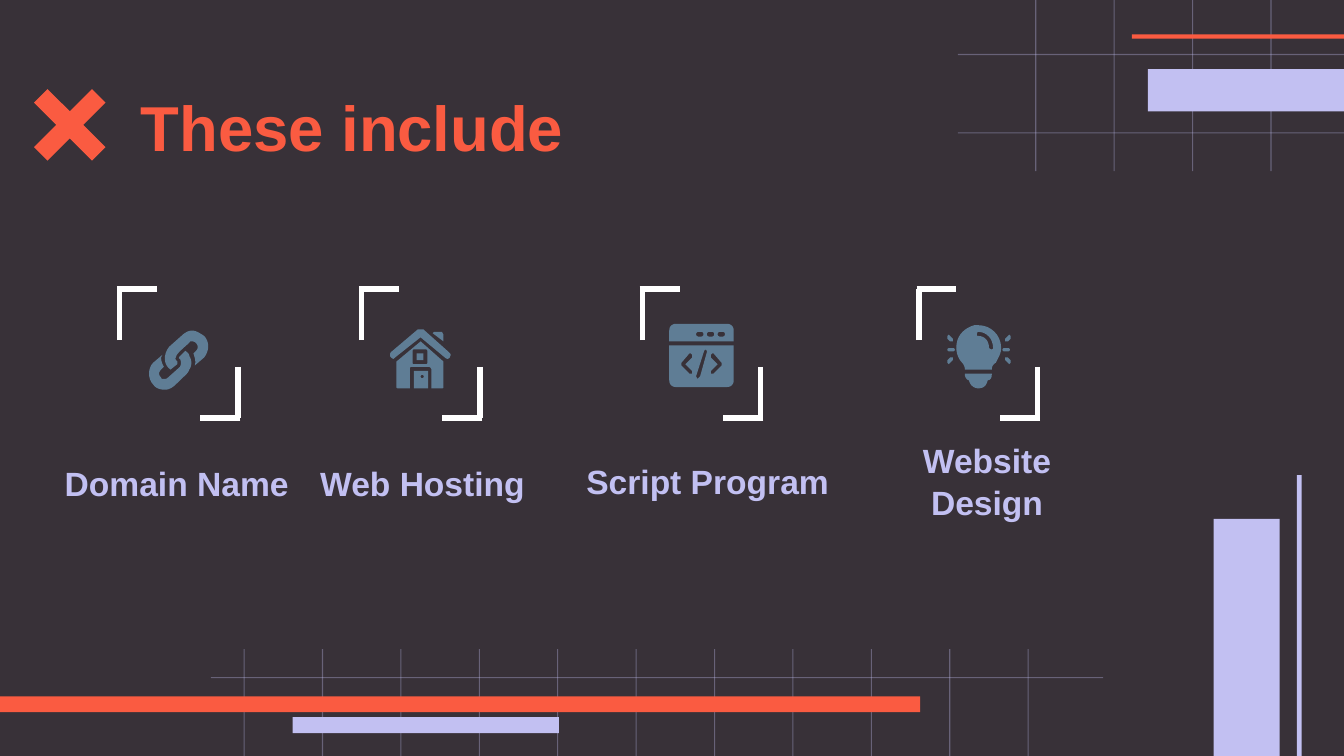
"""Build the slide listing the four parts of a website, each with a bracketed icon."""
import dataclasses
import typing

import lxml.etree
import pptx
import pptx.dml.color
import pptx.enum.shapes
import pptx.enum.text
import pptx.oxml.ns
import pptx.util

Pt = pptx.util.Pt
SHAPE = pptx.enum.shapes.MSO_SHAPE
ALIGN = pptx.enum.text.PP_ALIGN
Contour = list[tuple[float, ...]]


@dataclasses.dataclass(frozen=True)
class Theme:
    background: str = "383138"
    accent: str = "FA5B41"
    lilac: str = "C2C0F2"
    icon: str = "5F7D95"
    bracket: str = "FFFFFF"
    font: str = "Arial"
    title_size: float = 34
    label_size: float = 18
    grid_alpha: int = 35
    icon_unit: float = 0.72


@dataclasses.dataclass(frozen=True)
class Box:
    left: float
    top: float
    width: float
    height: float

    def lengths(self) -> list[pptx.util.Length]:
        return [Pt(value) for value in (self.left, self.top, self.width, self.height)]


@dataclasses.dataclass(frozen=True)
class Card:
    left: float
    label: str
    label_box: Box
    icon: list[list[Contour]]


THEME = Theme()
PAGE_WIDTH, PAGE_HEIGHT = 720, 405
CARD_TOP, BRACKET_WIDTH, BRACKET_HEIGHT = 154.8, 66.2, 69.1
GRID_STEP, GRID_LINE = 42, 0.6


def rounded(left: float, top: float, width: float, height: float, radius: float = 0) -> Contour:
    right, bottom, bend = left + width, top + height, radius * 0.45
    return [
        (left + radius, top), (right - radius, top),
        (right - bend, top, right, top + bend, right, top + radius), (right, bottom - radius),
        (right, bottom - bend, right - bend, bottom, right - radius, bottom), (left + radius, bottom),
        (left + bend, bottom, left, bottom - bend, left, bottom - radius), (left, top + radius),
        (left, top + bend, left + bend, top, left + radius, top),
    ]


def mirrored(contour: Contour, span_x: float | None = None, span_y: float | None = None) -> Contour:
    return [(x if span_x is None else span_x - x, y if span_y is None else span_y - y) for x, y in contour]


CHAIN = [
    [[(51, 46), (47, 50), (46, 51, 46, 52, 47, 52), (48, 54, 48, 56, 47, 58), (38, 66),
      (37, 67, 36, 67, 35, 67), (34, 67, 33, 67, 33, 66), (31, 64, 31, 62, 33, 60), (35, 58),
      (34, 56, 33, 54, 33, 51), (34, 49), (27, 55), (23, 59, 23, 67, 27, 71),
      (29, 74, 32, 75, 36, 75), (38, 75, 41, 74, 44, 71), (51, 64, 53, 63, 54, 60),
      (56, 57, 56, 53, 54, 50), (54, 48, 52, 47, 51, 46)]],
    [[(56, 31), (53, 31, 50, 33, 48, 35), (39, 43), (34, 49, 35, 57, 40, 60), (45, 56),
      (45, 56, 45, 55, 45, 54), (44, 53, 43, 52, 44, 51), (44, 49, 46, 47, 54, 40),
      (54, 39, 55, 39, 56, 39), (59, 39, 62, 43, 59, 46), (57, 48), (58, 51, 59, 54, 58, 57),
      (65, 51), (69, 46, 69, 39, 65, 35), (62, 33, 59, 31, 56, 31)]],
]
HOUSE = [
    [[(56, 32), (55, 33), (63, 39), (63, 34), (62, 32)]],
    [rounded(41, 61, 10.5, 13), rounded(46, 64, 2.4, 2.4, 1.2)],
    [rounded(43, 48, 5, 5)],
    [[(46, 30), (45, 30, 45, 30, 44, 30), (24, 47), (23, 48, 23, 50, 24, 51),
      (24, 51, 25, 52, 26, 52), (26, 52, 27, 51, 27, 51), (46, 36), (64, 51),
      (64, 51, 65, 52, 66, 52), (67, 52, 68, 51, 68, 50), (69, 49, 68, 48, 67, 47), (48, 30)]],
    [[(46, 39), (28, 54), (28, 73), (28, 74, 29, 74, 30, 74), (38, 74), (38, 60),
      (38, 59, 38, 58, 39, 58), (52, 58), (53, 58, 54, 59, 54, 60), (54, 74), (62, 74),
      (62, 74, 63, 74, 63, 73), (63, 54)], rounded(40, 45, 11, 11, 1)],
]
CHEVRON = [(38, 48), (39, 49), (39, 51), (34, 56), (39, 61), (39, 63), (37, 63), (31, 57), (31, 55), (37, 48)]
CODE_WINDOW = [
    [[(27, 26), (24, 26, 22, 28, 22, 31), (22, 39), (70, 39), (70, 31), (70, 28, 68, 26, 65, 26)],
     *[rounded(42 + 8 * dot, 32, 5.5, 3.5, 1.7) for dot in range(3)]],
    [[(22, 42), (22, 68), (22, 71, 24, 73, 27, 73), (65, 73), (68, 73, 70, 71, 70, 68), (70, 42)],
     CHEVRON, mirrored(CHEVRON, span_x=92),
     [(49, 45), (50, 46), (50, 47), (45, 65), (43, 67), (42, 65), (48, 46)]],
]
RAY = [(24, 34), (23, 35), (23, 37), (25, 39), (27, 39), (27, 37), (25, 35)]
BULB = [
    [[(36, 63), (36, 64), (36, 66, 38, 68, 39, 68), (40, 72, 43, 74, 46, 74),
      (50, 74, 52, 72, 53, 68), (55, 68, 56, 66, 56, 64), (56, 63)]],
    [[(46, 27), (45, 27, 44, 27, 43, 27), (36, 29, 31, 34, 30, 40), (29, 45, 30, 51, 34, 55),
      (35, 56, 36, 58, 36, 60), (56, 60), (56, 58, 57, 56, 59, 55), (61, 51, 63, 48, 63, 44),
      (63, 34, 55, 27, 46, 27)],
     [(46, 32), (52, 32, 57, 37, 57, 44), (57, 44, 57, 45, 56, 45), (55, 45, 54, 44, 54, 44),
      (54, 39, 51, 35, 46, 35), (45, 35, 45, 35, 45, 34), (45, 33, 45, 32, 46, 32)]],
    *[[rounded(left, 44, 5.5, 2.4, 1.2)] for left in (23, 64)],
    *[[mirrored(RAY, span_x, span_y)] for span_x in (None, 93) for span_y in (None, 90)],
]
CARDS = [
    Card(62.6, "Domain Name", Box(21.6, 247, 146.2, 22.3), CHAIN),
    Card(192.2, "Web Hosting", Box(152.6, 247, 147.6, 22.3), HOUSE),
    Card(342.7, "Script Program", Box(305.3, 246.2, 147.6, 22.3), CODE_WINDOW),
    Card(491, "Website Design", Box(455, 246.2, 147.6, 22.3), BULB),
]
BARS = [
    (Box(0, 373, 493, 8.6), THEME.accent),
    (Box(650.2, 278, 35.3, 127), THEME.lilac),
    (Box(694.8, 254.6, 2.6, 150.4), THEME.lilac),
    (Box(156.8, 384.2, 142.7, 8.6), THEME.lilac),
    (Box(615, 37, 105, 22.7), THEME.lilac),
    (Box(606.3, 18.4, 113.7, 2.3), THEME.accent),
]
GRID_LINES = [
    *[Box(554.6 + GRID_STEP * column, 0, GRID_LINE, 91.7) for column in range(4)],
    *[Box(513.2, 28.9 + GRID_STEP * row, 206.8, GRID_LINE) for row in range(2)],
    *[Box(130.5 + GRID_STEP * column, 347.7, GRID_LINE, 57.3) for column in range(11)],
    Box(113, 362.7, 478, GRID_LINE),
]


def paint(shape: typing.Any, color: str, alpha: int = 100) -> None:
    shape.shadow.inherit = False
    shape.fill.solid()
    shape.fill.fore_color.rgb = pptx.dml.color.RGBColor.from_string(color)
    shape.line.fill.background()
    if alpha < 100:
        color_node = shape.fill._xPr.find(".//" + pptx.oxml.ns.qn("a:srgbClr"))
        lxml.etree.SubElement(color_node, pptx.oxml.ns.qn("a:alpha"), val=str(alpha * 1000))


def add_block(page: typing.Any, box: Box, color: str, alpha: int = 100, kind: typing.Any = SHAPE.RECTANGLE) -> typing.Any:
    shape = page.shapes.add_shape(kind, *box.lengths())
    paint(shape, color, alpha)
    return shape


def add_text(page: typing.Any, text: str, box: Box, *, size: float, color: str, align: typing.Any = ALIGN.LEFT, spacing: float = 1) -> None:
    frame = page.shapes.add_textbox(*box.lengths()).text_frame
    frame.word_wrap = True
    frame.vertical_anchor = pptx.enum.text.MSO_ANCHOR.MIDDLE
    frame.margin_left = frame.margin_right = frame.margin_top = frame.margin_bottom = Pt(7.2)
    para = frame.paragraphs[0]
    para.alignment, para.line_spacing = align, spacing
    span = para.add_run()
    span.text = text
    span.font.name, span.font.size, span.font.bold = THEME.font, Pt(size), True
    span.font.color.rgb = pptx.dml.color.RGBColor.from_string(color)


def flatten(contour: Contour, left: float, top: float, steps: int = 8) -> list[tuple[int, int]]:
    points = [contour[0]]
    for segment in contour[1:]:
        if len(segment) == 2:
            points.append(segment)
            continue
        knots = [points[-1], segment[:2], segment[2:4], segment[4:]]
        for step in range(1, steps + 1):
            t = step / steps
            weights = ((1 - t) ** 3, 3 * t * (1 - t) ** 2, 3 * t * t * (1 - t), t ** 3)
            points.append(tuple(sum(w * knot[axis] for w, knot in zip(weights, knots)) for axis in (0, 1)))
    return [(Pt(left + x * THEME.icon_unit), Pt(top + y * THEME.icon_unit)) for x, y in points]


def add_outline(page: typing.Any, contours: list[Contour], left: float, top: float) -> None:
    first, *holes = [flatten(contour, left, top) for contour in contours]
    builder = page.shapes.build_freeform(*first[0])
    builder.add_line_segments(first[1:], close=True)
    for hole in holes:
        builder.move_to(*hole[0])
        builder.add_line_segments(hole[1:], close=True)
    paint(builder.convert_to_shape(), THEME.icon)


def add_brackets(page: typing.Any, left: float, top: float) -> None:
    corner = [(1.4, 27.4, 1.4, 0), (0, 0, 21.4, 0)]
    turned = [tuple(span - value for span, value in zip((BRACKET_WIDTH, BRACKET_HEIGHT) * 2, ends)) for ends in corner]
    for x1, y1, x2, y2 in corner + turned:
        line = page.shapes.add_connector(
            pptx.enum.shapes.MSO_CONNECTOR.STRAIGHT, Pt(left + x1), Pt(top + y1), Pt(left + x2), Pt(top + y2))
        line.line.width = Pt(3)
        line.line.color.rgb = pptx.dml.color.RGBColor.from_string(THEME.bracket)
        lxml.etree.SubElement(line._element.spPr, pptx.oxml.ns.qn("a:effectLst"))


def main() -> None:
    deck = pptx.Presentation()
    deck.slide_width, deck.slide_height = Pt(PAGE_WIDTH), Pt(PAGE_HEIGHT)
    page = deck.slides.add_slide(deck.slide_layouts[6])
    page.background.fill.solid()
    page.background.fill.fore_color.rgb = pptx.dml.color.RGBColor.from_string(THEME.background)
    cross = add_block(page, Box(7.5, 37, 59.8, 59.8), THEME.accent, kind=SHAPE.MATH_MULTIPLY)
    cross.adjustments[0] = 0.171
    for box in GRID_LINES:
        add_block(page, box, THEME.lilac, THEME.grid_alpha)
    for box, color in BARS:
        add_block(page, box, color)
    add_text(page, "These include", Box(68.4, 42.5, 581.8, 49.7), size=THEME.title_size, color=THEME.accent)
    for card in CARDS:
        add_brackets(page, card.left, CARD_TOP)
        for contours in card.icon:
            add_outline(page, contours, card.left, CARD_TOP)
        add_text(page, card.label, card.label_box, size=THEME.label_size, color=THEME.lilac,
                 align=ALIGN.CENTER, spacing=1.05)
    deck.save("out.pptx")


if __name__ == "__main__":
    main()
